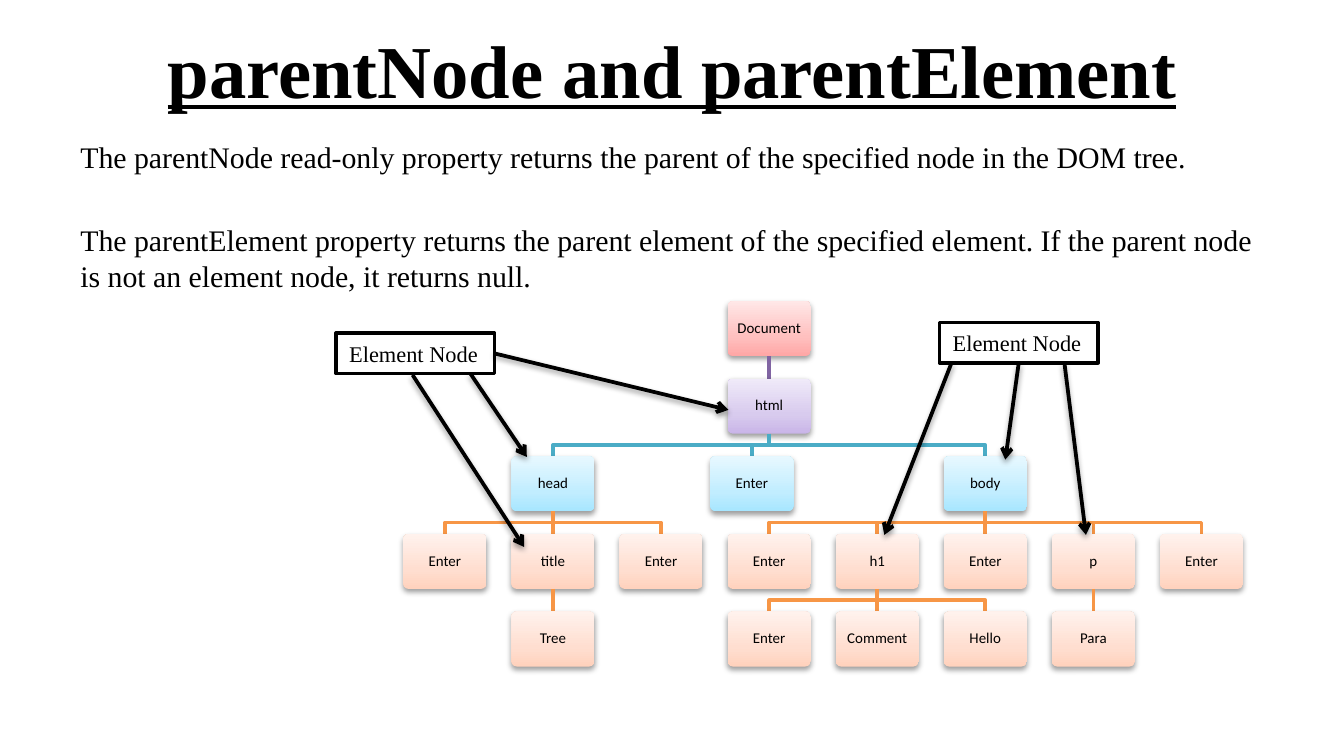
import copy
import pptx
import pptx.util
import pptx.dml.color
import pptx.enum.shapes
import pptx.enum.text
import pptx.oxml
import pptx.oxml.ns

Inches, Pt = pptx.util.Inches, pptx.util.Pt
RGBColor = pptx.dml.color.RGBColor
Shape = pptx.enum.shapes.MSO_SHAPE
Align = pptx.enum.text.PP_ALIGN
Anchor = pptx.enum.text.MSO_ANCHOR
qn = pptx.oxml.ns.qn

BLACK = RGBColor(0, 0, 0)
WHITE = RGBColor(255, 255, 255)
PURPLE = RGBColor(0x80, 0x64, 0xA2)
TEAL = RGBColor(0x4B, 0xAC, 0xC6)
ORANGE = RGBColor(0xF7, 0x96, 0x46)
ROSES = [RGBColor.from_string(c) for c in ("FFA6A5", "FFC0BF", "FFE7E7")]
LILACS = [RGBColor.from_string(c) for c in ("C9B5E8", "D8CBEE", "F0EAF9")]
BLUES = [RGBColor.from_string(c) for c in ("A7E6FF", "C1EDFF", "E7F8FF")]
PEACHES = [RGBColor.from_string(c) for c in ("FFD2BD", "FFDED0", "FFF2ED")]

# Link colour and node gradient at each depth
LEVELS = [(None, ROSES), (PURPLE, LILACS), (TEAL, BLUES),
          (ORANGE, PEACHES), (ORANGE, PEACHES)]
SERIF, SANS = "Times New Roman", "Calibri"
WIDE, HIGH = 0.62, 0.41
# Centre of the first and last column, top of the first and last row
LEFT, RIGHT, TOP, LOW = 3.31, 8.94, 2.24, 4.55

# Each node: label, column, children
TREE = ("Document", 3, [("html", 3, [
    ("head", 1, [("Enter", 0, []),
                 ("title", 1, [("Tree", 1, [])]),
                 ("Enter", 2, [])]),
    ("Enter", 2.84, []),
    ("body", 5, [("Enter", 3, []),
                 ("h1", 4, [("Enter", 3, []), ("Comment", 4, []), ("Hello", 5, [])]),
                 ("Enter", 5, []),
                 ("p", 6, [("Para", 6, [])]),
                 ("Enter", 7, [])])])])

# Each callout: left, top, arrows as (from, to)
CALLS = [
    (2.5, 2.48, [((3.5, 2.78), (3.92, 3.4)), ((3.68, 2.63), (5.42, 3.05)),
                 ((3.07, 2.79), (3.9, 4.07))]),
    (6.99, 2.4, [((7.58, 2.7), (7.48, 3.42)), ((7.08, 2.7), (6.58, 3.98)),
                 ((7.92, 2.7), (8.08, 3.98))]),
]


def style(frame, size, font, align=Align.LEFT, bold=False):
    for para in frame.paragraphs:
        para.alignment = align
        for run in para.runs:
            run.font.size, run.font.name = Pt(size), font
            run.font.bold, run.font.underline = bold, bold
            run.font.color.rgb = BLACK


def add_text(slide, box, lines, size, **look):
    frame = slide.shapes.add_textbox(*map(Inches, box)).text_frame
    frame.word_wrap = True
    frame.text = "\n".join(lines)
    style(frame, size, SERIF, **look)
    return frame


def add_shadow(props):
    for old in props.findall(qn("a:effectLst")):
        props.remove(old)
    props.append(pptx.oxml.parse_xml(
        '<a:effectLst xmlns:a="http://schemas.openxmlformats.org/drawingml/2006/main">'
        '<a:outerShdw blurRad="39400" dist="20300" dir="5400000" rotWithShape="0">'
        '<a:srgbClr val="000000"><a:alpha val="38000"/></a:srgbClr>'
        '</a:outerShdw></a:effectLst>'))


def add_line(slide, start, end, color, arrow=False):
    line = slide.shapes.add_connector(
        pptx.enum.shapes.MSO_CONNECTOR.STRAIGHT, *map(Inches, start + end))
    line.line.color.rgb, line.line.width = color, Pt(2)
    props = line._element.spPr
    if arrow:
        edge = props.find(qn("a:ln"))
        edge.append(edge.makeelement(qn("a:tailEnd"), {"type": "arrow"}))
        add_shadow(props)
    else:
        props.append(props.makeelement(qn("a:effectLst"), {}))


def add_link(slide, start, end, color):
    if start[0] == end[0]:
        add_line(slide, start, end, color)
        return
    mid = (start[1] + end[1]) / 2
    bends = [(start[0], mid), (end[0], mid), end]
    path = slide.shapes.build_freeform(Inches(start[0]), Inches(start[1]))
    path.add_line_segments([(Inches(x), Inches(y)) for x, y in bends], close=False)
    link = path.convert_to_shape()
    link.fill.background()
    link.line.color.rgb, link.line.width = color, Pt(2)
    link.shadow.inherit = False


def add_node(slide, label, x, y, shades):
    node = slide.shapes.add_shape(
        Shape.ROUNDED_RECTANGLE, Inches(x - WIDE / 2), Inches(y), Inches(WIDE), Inches(HIGH))
    node.adjustments[0] = 0.1
    # Three-stop gradient, darkest at the bottom
    node.fill.gradient()
    node.fill.gradient_angle = 90
    stops = node._element.spPr.find(qn("a:gradFill")).find(qn("a:gsLst"))
    stops.insert(1, copy.deepcopy(stops[0]))
    for stop, shade, place in zip(node.fill.gradient_stops, shades, (0, 0.35, 1)):
        stop.color.rgb, stop.position = shade, place
    node.line.fill.background()
    add_shadow(node._element.spPr)
    frame = node.text_frame
    frame.margin_left = frame.margin_right = Inches(0.03)
    frame.margin_top = frame.margin_bottom = Inches(0.03)
    frame.vertical_anchor = Anchor.MIDDLE
    frame.text = label
    frame.paragraphs[0].line_spacing = 0.9
    style(frame, 8, SANS, Align.CENTER)


def add_tree(slide, tree, depth=0, above=None):
    label, column, kids = tree
    x = LEFT + column * (RIGHT - LEFT) / 7
    y = TOP + depth * (LOW - TOP) / 4
    color, shades = LEVELS[depth]
    if above:
        add_link(slide, above, (x, y), color)
    add_node(slide, label, x, y, shades)
    for kid in kids:
        add_tree(slide, kid, depth + 1, (x, y + HIGH))


def add_call(slide, left, top, arrows):
    box = slide.shapes.add_shape(
        Shape.RECTANGLE, Inches(left), Inches(top), Inches(1.18), Inches(0.3))
    box.shadow.inherit = False
    box.fill.solid()
    box.fill.fore_color.rgb = WHITE
    box.line.color.rgb, box.line.width = BLACK, Pt(2)
    box.text_frame.word_wrap = False
    box.text_frame.text = "Element Node"
    style(box.text_frame, 12, SERIF)
    for start, end in arrows:
        add_line(slide, start, end, BLACK, arrow=True)


def main():
    # Widescreen page, 16 to 9
    deck = pptx.Presentation()
    deck.slide_width = Inches(10)
    deck.slide_height = Inches(10 * 9 / 16)
    slide = deck.slides.add_slide(deck.slide_layouts[6])

    # Title and definitions
    title = add_text(slide, (0.5, 0.04, 9, 0.94), ["parentNode and parentElement"],
                     40, align=Align.CENTER, bold=True)
    title.vertical_anchor = Anchor.MIDDLE
    body = add_text(slide, (0.5, 0.98, 9, 1.33), [
        "The parentNode read-only property returns the parent of the specified node "
        "in the DOM tree.",
        "The parentElement property returns the parent element of the specified element. "
        "If the parent node is not an element node, it returns null. "], 16)
    body.paragraphs[1].space_before = Pt(25.5)

    # Node tree and callouts
    add_tree(slide, TREE)
    for call in CALLS:
        add_call(slide, *call)

    deck.save("out.pptx")


main()
